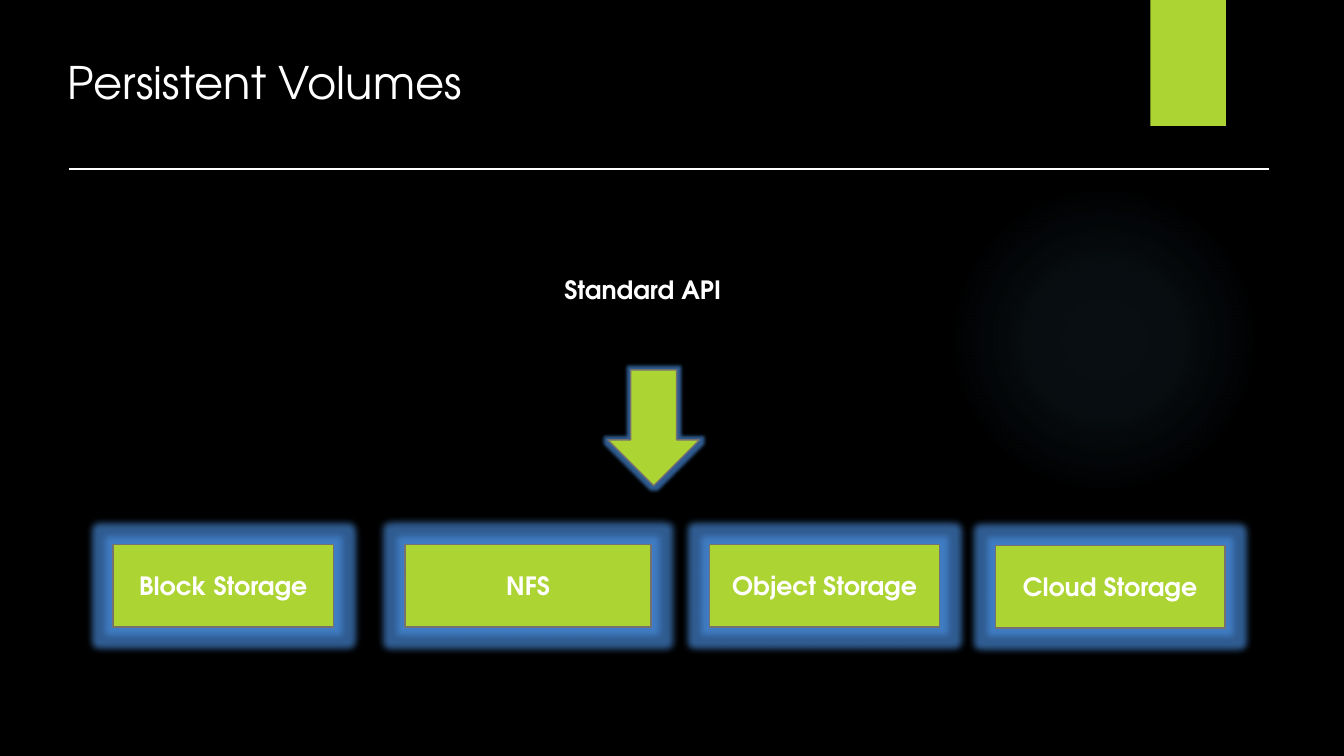
from lxml import etree
from pptx import Presentation
from pptx import util as u
from pptx.dml.color import RGBColor
from pptx.enum import shapes, text
from pptx.oxml import parse_xml
from pptx.oxml.ns import nsdecls, qn

BLACK = RGBColor(0x00, 0x00, 0x00)
WHITE = RGBColor(0xFF, 0xFF, 0xFF)
LIME = RGBColor(0xAC, 0xD4, 0x33)
GRAY = RGBColor(0x76, 0x71, 0x71)
SKY = RGBColor(0x7A, 0xC4, 0xF0)
BLUE = RGBColor(0x4A, 0x8F, 0xE0)


class Deck:
    """Style and current slide; lengths are percent of the slide's size."""
    font = "TeX Gyre Adventor"

    def __init__(self):
        self.prs = Presentation()
        self.prs.slide_width, self.prs.slide_height = u.Inches(13.33), u.Inches(7.5)
        self.s = self.prs.slides.add_slide(self.prs.slide_layouts[5])
        fill = self.s.background.fill
        fill.solid()
        fill.fore_color.rgb = BLACK

    def x(self, share):
        return round(self.prs.slide_width * share / 100)

    def y(self, share):
        return round(self.prs.slide_height * share / 100)

    def area(self, x, y, w, h):
        return self.x(x), self.y(y), self.x(w), self.y(h)

    def set_text(self, tf, words, size, bold=False, align=text.PP_ALIGN.LEFT,
                 anchor=text.MSO_ANCHOR.TOP):
        tf.word_wrap = True
        tf.auto_size = text.MSO_AUTO_SIZE.NONE
        tf.vertical_anchor = anchor
        p = tf.paragraphs[0]
        p.alignment = align
        r = p.add_run()
        r.text = words
        r.font.name, r.font.size, r.font.bold = self.font, u.Pt(size), bold
        r.font.color.rgb = WHITE

    def title(self, words, *area):
        sp = self.s.shapes.title
        sp.left, sp.top, sp.width, sp.height = self.area(*area)
        self.set_text(sp.text_frame, words, 32)

    def label(self, words, *area):
        sp = self.s.shapes.add_textbox(*self.area(*area))
        self.set_text(sp.text_frame, words, 18, bold=True)

    def shape(self, kind, *area, outlined=False, glow=0):
        sp = self.s.shapes.add_shape(kind, *self.area(*area))
        sp.shadow.inherit = False
        sp.fill.solid()
        sp.fill.fore_color.rgb = LIME
        if outlined:
            sp.line.color.rgb, sp.line.width = GRAY, u.Pt(1)
        else:
            sp.line.fill.background()
        if glow:
            effects = sp.element.spPr.find(qn("a:effectLst"))
            effects.append(parse_xml(
                f'<a:glow {nsdecls("a")} rad="{u.Pt(glow)}"><a:srgbClr val="{BLUE}">'
                '<a:alpha val="65000"/></a:srgbClr></a:glow>'))
        return sp

    def box(self, words, *area):
        sp = self.shape(shapes.MSO_SHAPE.RECTANGLE, *area, outlined=True, glow=10)
        self.set_text(sp.text_frame, words, 18, True,
                      text.PP_ALIGN.CENTER, text.MSO_ANCHOR.MIDDLE)

    def halo(self, *area):
        sp = self.shape(shapes.MSO_SHAPE.OVAL, *area)
        stops = "".join(
            f'<a:gs pos="{pos}000"><a:srgbClr val="{SKY}">'
            f'<a:alpha val="{alpha}000"/></a:srgbClr></a:gs>'
            for pos, alpha in ((0, 7), (36, 6), (69, 0), (100, 0)))
        solid = sp.element.spPr.find(qn("a:solidFill"))
        solid.getparent().replace(solid, parse_xml(
            f'<a:gradFill {nsdecls("a")} rotWithShape="1"><a:gsLst>{stops}</a:gsLst>'
            '<a:path path="circle"><a:fillToRect l="50000" t="50000" r="50000" b="50000"/>'
            '</a:path></a:gradFill>'))

    def rule(self, x1, x2, y):
        cn = self.s.shapes.add_connector(shapes.MSO_CONNECTOR.STRAIGHT,
                                         self.x(x1), self.y(y), self.x(x2), self.y(y))
        cn.line.color.rgb, cn.line.width = WHITE, u.Pt(1.5)
        etree.SubElement(cn.element.spPr, qn("a:effectLst"))


def main():
    d = Deck()

    # Backdrop
    d.halo(70.58, 24.4, 23.1, 41.07)
    d.shape(shapes.MSO_SHAPE.RECTANGLE, 85.6, 0, 5.62, 16.67)

    # Heading
    d.title("Persistent Volumes", 4.28, 6.53, 86.92, 9.33)

    # Storage kinds
    for words, x, y, w in (("Block Storage", 8.4, 72, 16.42),
                           ("NFS", 30.15, 72, 18.3),
                           ("Object Storage", 52.8, 72, 17.1),
                           ("Cloud Storage", 74.05, 72.13, 17.1)):
        d.box(words, x, y, w, 10.93)

    # API over the storage
    d.shape(shapes.MSO_SHAPE.DOWN_ARROW, 45.22, 48.93, 6.83, 15.33, outlined=True, glow=5)
    d.label("Standard API", 41.25, 35.6, 25.5, 5.33)
    d.rule(5.1, 94.42, 22.4)

    d.prs.save("out.pptx")


if __name__ == "__main__":
    main()
